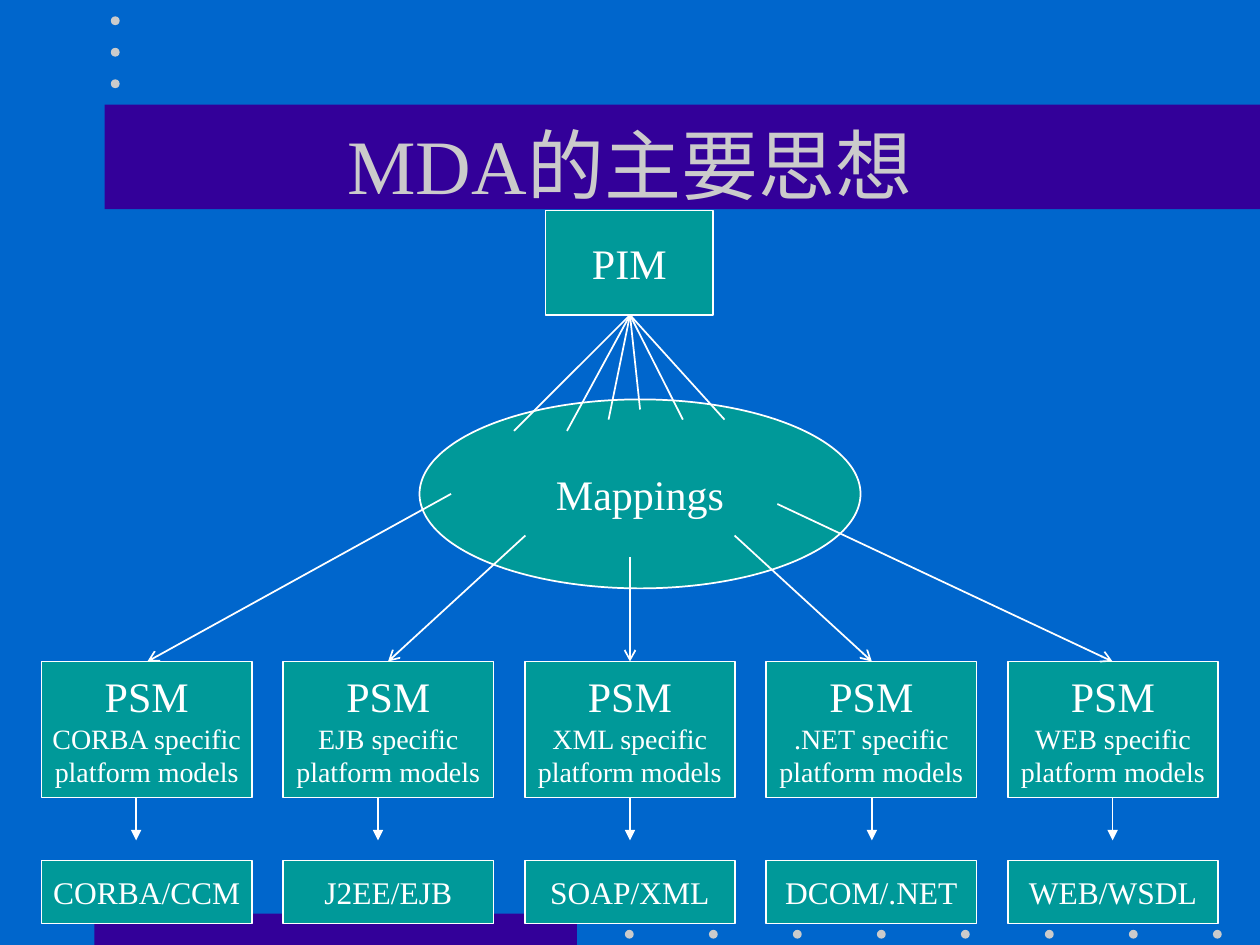
import pptx
import pptx.dml.color
import pptx.enum.shapes
import pptx.enum.text
import pptx.oxml
import pptx.oxml.ns
import pptx.util

Inches = pptx.util.Inches
Pt = pptx.util.Pt
RGBColor = pptx.dml.color.RGBColor
MSO_SHAPE = pptx.enum.shapes.MSO_SHAPE

BLUE = RGBColor(0x00, 0x66, 0xCC)
PURPLE = RGBColor(0x33, 0x00, 0x99)
GREY = RGBColor(0xCB, 0xCB, 0xCB)
TEAL = RGBColor(0x00, 0x99, 0x99)
WHITE = RGBColor(0xFF, 0xFF, 0xFF)

FRAME = {
    "vertical_anchor": pptx.enum.text.MSO_ANCHOR.MIDDLE,
    "margin_left": Inches(0.1),
    "margin_right": Inches(0.1),
    "margin_top": Inches(0.05),
    "margin_bottom": Inches(0.05),
}


def add_shape(kind, left, top, width, height, fill, line=None):
    s = slide.shapes.add_shape(kind, Inches(left), Inches(top), Inches(width), Inches(height))
    s.shadow.inherit = False
    s.fill.solid()
    s.fill.fore_color.rgb = fill
    if line is None:
        s.line.fill.background()
    else:
        s.line.color.rgb = line
        s.line.width = Pt(1)
    return s


def write(s, lines, color=WHITE, wrap=False):
    tf = s.text_frame
    for name, value in {**FRAME, "word_wrap": wrap}.items():
        setattr(tf, name, value)
    for i, (text, size) in enumerate(lines):
        p = tf.add_paragraph() if i else tf.paragraphs[0]
        p.alignment = pptx.enum.text.PP_ALIGN.CENTER
        r = p.add_run()
        r.text = text
        for name, value in {"name": "Times New Roman", "size": Pt(size)}.items():
            setattr(r.font, name, value)
        r.font.color.rgb = color


prs = pptx.Presentation()
prs.slide_width = Inches(10)
prs.slide_height = Inches(7.5)
slide = prs.slides.add_slide(prs.slide_layouts[6])
slide.background.fill.solid()
slide.background.fill.fore_color.rgb = BLUE

add_shape(MSO_SHAPE.RECTANGLE, 0.75, 7.25, 3.83, 0.25, PURPLE)
add_shape(MSO_SHAPE.RECTANGLE, 0.83, 0.83, 9.17, 0.83, PURPLE)
dots = [(4.96 + i * 2 / 3, 7.38) for i in range(8)]
dots += [(0.88, 0.13 + i * 0.25) for i in range(3)]
for left, top in dots:
    add_shape(MSO_SHAPE.OVAL, left, top, 0.07, 0.07, GREY)

title = slide.shapes.add_textbox(Inches(0.75), Inches(0.67), Inches(8.5), Inches(1.25))
write(title, [("MDA的主要思想", 44)], GREY, True)

pim = add_shape(MSO_SHAPE.RECTANGLE, 4.33, 1.67, 1.33, 0.83, TEAL, WHITE)
write(pim, [("PIM", 24)])
mappings = add_shape(MSO_SHAPE.OVAL, 3.33, 3.17, 3.5, 1.5, TEAL, WHITE)
write(mappings, [("Mappings", 24)])

platforms = [
    ("CORBA", "CORBA/CCM"),
    ("EJB", "J2EE/EJB"),
    ("XML", "SOAP/XML"),
    (".NET", "DCOM/.NET"),
    ("WEB", "WEB/WSDL"),
]
for i, (platform, technology) in enumerate(platforms):
    left = 0.33 + i * 1.917
    psm = add_shape(MSO_SHAPE.RECTANGLE, left, 5.25, 1.67, 1.08, TEAL, WHITE)
    write(psm, [("PSM", 24), (f"{platform} specific", 16), ("platform models", 16)])
    target = add_shape(MSO_SHAPE.RECTANGLE, left, 6.83, 1.67, 0.5, TEAL, WHITE)
    write(target, [(technology, 18)])

fan_ends = [(4.08, 3.42), (4.5, 3.42), (4.83, 3.33), (5.08, 3.25), (5.42, 3.33), (5.75, 3.33)]
map_starts = [(3.58, 3.92), (4.17, 4.25), (5, 4.42), (5.83, 4.25), (6.17, 4)]
map_ends = [1.17, 3.08, 5, 6.92, 8.83]
down_xs = [1.08, 3, 5, 6.92, 8.83]
lines = [((5, 2.5), end, None) for end in fan_ends]
lines += [(start, (x, 5.25), "arrow") for start, x in zip(map_starts, map_ends)]
lines += [((x, 6.33), (x, 6.67), "triangle") for x in down_xs]
for start, end, head in lines:
    c = slide.shapes.add_connector(
        pptx.enum.shapes.MSO_CONNECTOR.STRAIGHT, *(Inches(v) for v in start + end)
    )
    c.line.color.rgb = WHITE
    c.line.width = Pt(1)
    if head:
        tail = pptx.oxml.parse_xml(f'<a:tailEnd {pptx.oxml.ns.nsdecls("a")} type="{head}"/>')
        c.line._get_or_add_ln().append(tail)
    c._element.spPr.append(pptx.oxml.parse_xml(f'<a:effectLst {pptx.oxml.ns.nsdecls("a")}/>'))

prs.save("out.pptx")
